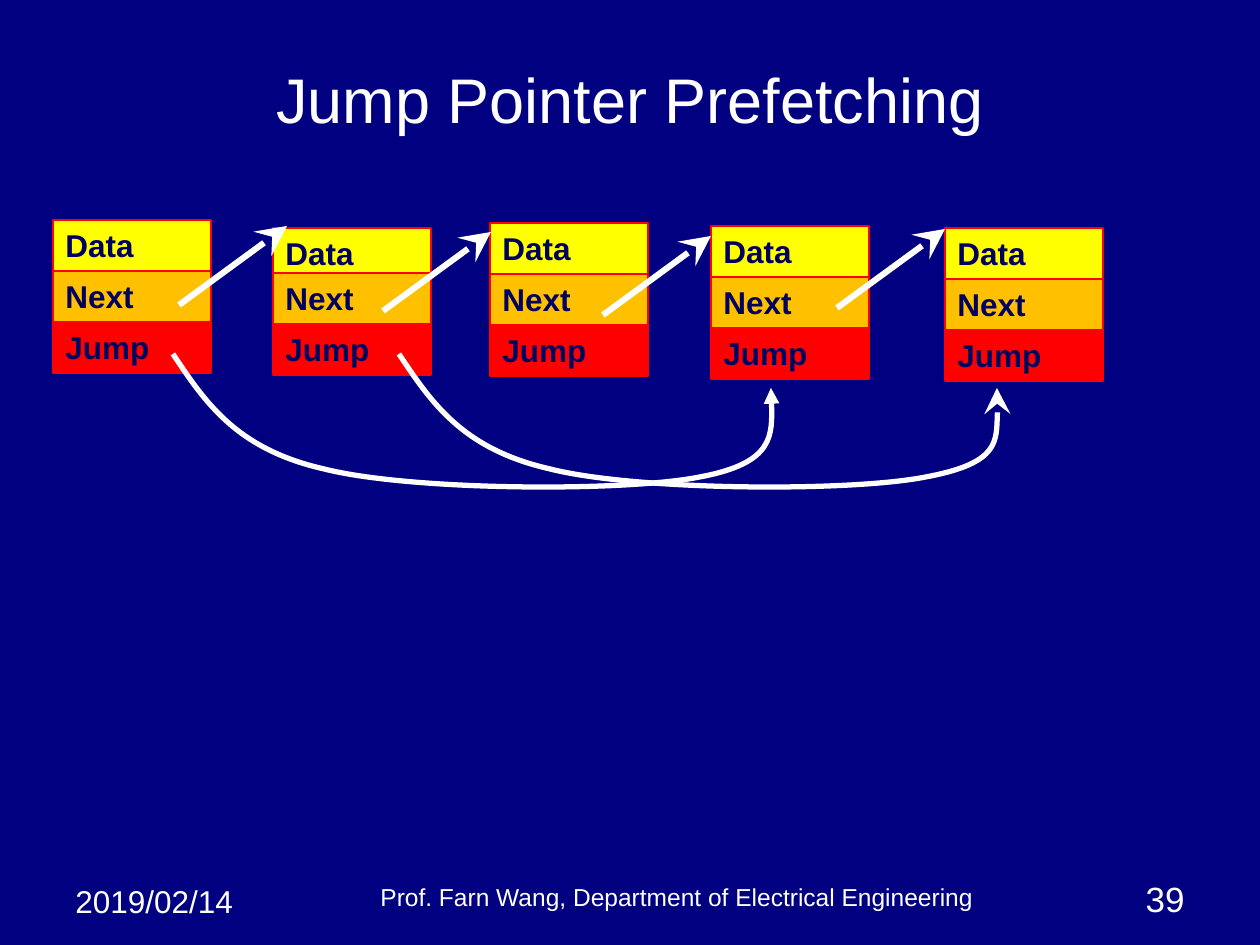
from lxml.etree import SubElement
from pptx import Presentation
from pptx.dml.color import RGBColor
from pptx.enum.shapes import MSO_CONNECTOR, MSO_SHAPE
from pptx.enum.text import MSO_ANCHOR, PP_ALIGN
from pptx.oxml.ns import qn
from pptx.util import Emu, Pt

NAVY = RGBColor(0x00, 0x00, 0x80)
INK = RGBColor(0x00, 0x00, 0x60)
WHITE = RGBColor(0xFF, 0xFF, 0xFF)
YELLOW = RGBColor(0xFF, 0xFF, 0x00)
ORANGE = RGBColor(0xFF, 0xC0, 0x00)
RED = RGBColor(0xFF, 0x00, 0x00)

FIELDS = [("Data", YELLOW), ("Next", ORANGE), ("Jump", RED)]
FIELD_W, FIELD_H = 158, 51
NODES = [(53, 220, 0), (273, 228, 6), (490, 223, 0), (711, 226, 0), (945, 228, 0)]
NEXT_STARTS = [(179, 305), (383, 311), (603, 315), (837, 308)]
JUMPS = [(173, 354, "triangle", "med"), (399, 354, "stealth", "lg")]
JUMP_CURVE = [(32, 48), (63, 95), (151, 115), (238, 137), (452, 138),
              (527, 123), (602, 109), (600, 72), (598, 34)]


def px(length):
    """Turn pixels into EMU at 126 pixels to the inch."""
    return Emu(round(length * 914400 / 126))


def write(frame, words, size, color=WHITE, align=PP_ALIGN.LEFT, anchor=MSO_ANCHOR.TOP, bold=False):
    """Fill a text frame with one formatted paragraph."""
    frame.word_wrap = True
    frame.vertical_anchor = anchor
    paragraph = frame.paragraphs[0]
    paragraph.text = words
    paragraph.alignment = align
    font = paragraph.font
    font.name, font.size, font.bold = "Arial", Pt(size), bold
    font.color.rgb = color


def add_title(slide, left, top, width, height):
    """Place and format the slide title."""
    title = slide.shapes.title
    title.left, title.top, title.width, title.height = map(px, (left, top, width, height))
    write(title.text_frame, "Jump Pointer Prefetching", 36,
          align=PP_ALIGN.CENTER, anchor=MSO_ANCHOR.MIDDLE)


def add_node(slide, left, top, overlap):
    """Stack the fields of a list node, the lower ones raised by the overlap."""
    for row, (label, color) in enumerate(FIELDS):
        field_top = top + row * FIELD_H - (overlap if row else 0)
        field = slide.shapes.add_shape(
            MSO_SHAPE.RECTANGLE, px(left), px(field_top), px(FIELD_W), px(FIELD_H))
        field.shadow.inherit = False
        field.fill.solid()
        field.fill.fore_color.rgb = color
        field.line.color.rgb = RED
        field.line.width = Pt(0.75)
        write(field.text_frame, label, 18, INK, bold=True)


def style_arrow(arrow, width, head, size):
    """Give a line its white stroke and its arrowhead."""
    arrow.line.color.rgb = WHITE
    arrow.line.width = Pt(width)
    stroke = arrow.line._get_or_add_ln()
    SubElement(stroke, qn("a:tailEnd"), type=head, w=size, len=size)


def add_next_arrow(slide, left, bottom):
    """Draw a next pointer up and to the right from its start."""
    pointer = slide.shapes.add_connector(
        MSO_CONNECTOR.STRAIGHT, px(left), px(bottom), px(left + 108), px(bottom - 79))
    style_arrow(pointer, 3.5, "stealth", "lg")
    SubElement(pointer._element.spPr, qn("a:effectLst"))


def add_jump_arrow(slide, left, top, head, size):
    """Draw a curved jump pointer relative to its start."""
    builder = slide.shapes.build_freeform(px(left), px(top))
    builder.add_line_segments([(px(left + x), px(top + y)) for x, y in JUMP_CURVE], close=False)
    jump = builder.convert_to_shape()
    jump.fill.background()
    jump.shadow.inherit = False
    style_arrow(jump, 3, head, size)
    outline = jump._element.xpath(".//a:path")[0]
    segments = outline.findall(qn("a:lnTo"))
    for first in range(0, len(segments), 3):
        bezier = SubElement(outline, qn("a:cubicBezTo"))
        for segment in segments[first:first + 3]:
            bezier.append(segment[0])
            outline.remove(segment)


def add_footer(slide, top):
    """Place the date, the author and the slide number."""
    entries = [
        (63, 15, 199, 50, "2019/02/14", 18, PP_ALIGN.LEFT, MSO_ANCHOR.TOP),
        (252, 15, 850, 42, "Prof. Farn Wang, Department of Electrical Engineering", 14,
         PP_ALIGN.CENTER, MSO_ANCHOR.BOTTOM),
        (903, 0, 294, 65, "39", 20, PP_ALIGN.RIGHT, MSO_ANCHOR.BOTTOM),
    ]
    for left, drop, width, height, words, size, align, anchor in entries:
        entry = slide.shapes.add_textbox(px(left), px(top + drop), px(width), px(height))
        write(entry.text_frame, words, size, align=align, anchor=anchor)


def main():
    """Build and save the slide."""
    deck = Presentation()
    deck.slide_width, deck.slide_height = px(1260), px(945)
    slide = deck.slides.add_slide(deck.slide_layouts[5])
    slide.background.fill.solid()
    slide.background.fill.fore_color.rgb = NAVY
    add_title(slide, 63, 38, 1134, 120)
    for node in NODES:
        add_node(slide, *node)
    for start in NEXT_STARTS:
        add_next_arrow(slide, *start)
    for jump in JUMPS:
        add_jump_arrow(slide, *jump)
    add_footer(slide, 861)
    deck.save("out.pptx")


if __name__ == "__main__":
    main()
